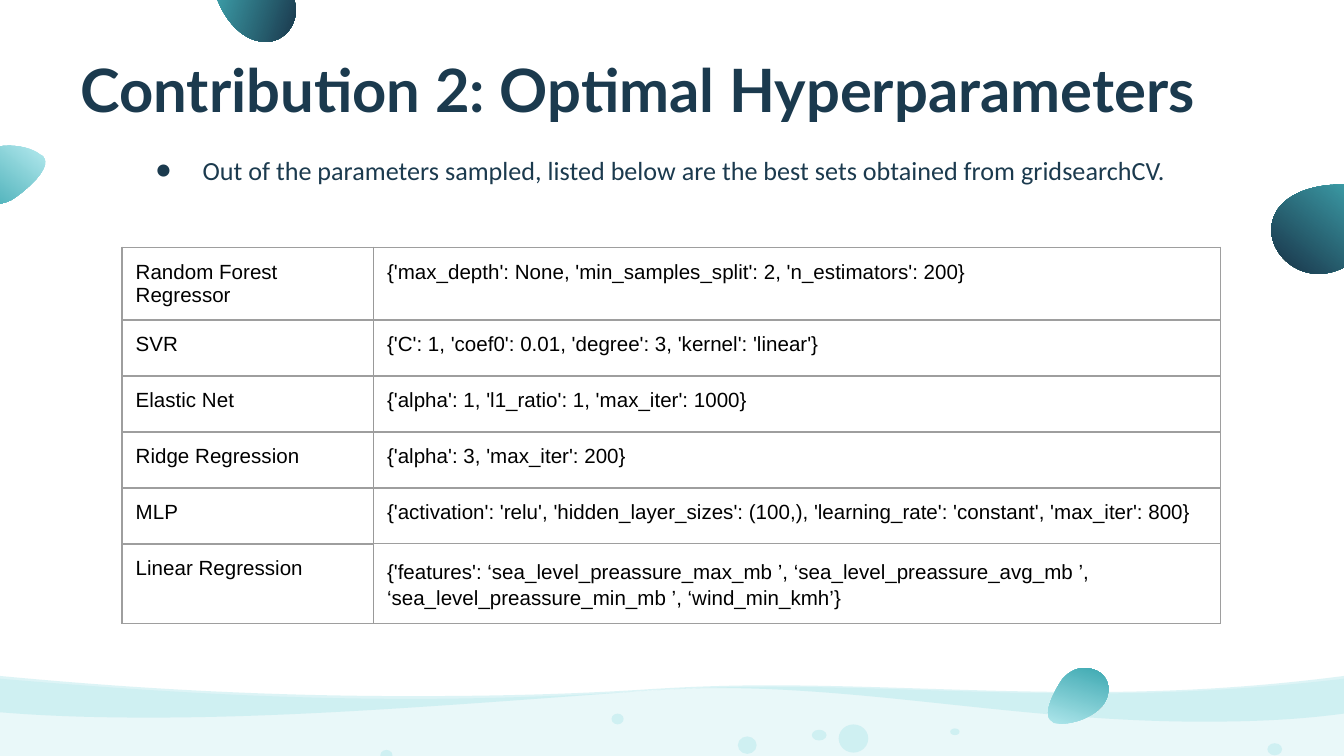
from lxml.etree import SubElement
from pptx import Presentation
from pptx.dml.color import RGBColor
from pptx.enum.shapes import MSO_SHAPE
from pptx.enum.text import MSO_AUTO_SIZE
from pptx.oxml.ns import qn
from pptx.util import Pt

PX = 9144
NAVY = RGBColor(0x1B, 0x3A, 0x4E)
TEAL = RGBColor(0x40, 0xAA, 0xB3)
AQUA = RGBColor(0xAA, 0xE4, 0xE9)
WHITE = RGBColor(0xFF, 0xFF, 0xFF)
BLACK = RGBColor(0, 0, 0)
GREY = RGBColor(0x9E, 0x9E, 0x9E)
MID = RGBColor(0x99, 0x99, 0x99)

deck = Presentation()
deck.slide_width = 1000 * PX
deck.slide_height = 1000 * PX * 9 // 16
slide = deck.slides.add_slide(deck.slide_layouts[6])
shapes = slide.shapes


def trace(start, steps):
    ends = [step[-2:] for step in steps]
    pen = shapes.build_freeform(*start, scale=PX)
    pen.add_line_segments(ends, close=True)
    shape = pen.convert_to_shape()
    left = min(x for x, y in [start, *ends])
    top = min(y for x, y in [start, *ends])
    sides = shape._element.findall(".//" + qn("a:lnTo"))
    for side, step in zip(sides, steps):
        if len(step) == 6:
            curve = side.makeelement(qn("a:cubicBezTo"))
            for x, y in zip(step[::2], step[1::2]):
                SubElement(curve, qn("a:pt"), x=str(x - left), y=str(y - top))
            side.getparent().replace(side, curve)
    shape.shadow.inherit = False
    shape.line.fill.background()
    return shape


def tint(shape, alpha):
    shape.fill.solid()
    shape.fill.fore_color.rgb = AQUA
    color = shape.fill._xPr.find(".//" + qn("a:srgbClr"))
    SubElement(color, qn("a:alpha"), val=str(alpha * 1000))


waves = [
    (26, (0, 505), [
        (0, 637), (1000, 637), (1000, 505),
        (931, 513, 869, 516, 809, 516), (727, 516, 650, 511, 573, 511),
        (543, 511, 513, 512, 483, 514), (420, 518, 362, 520, 306, 520),
        (194, 520, 95, 513, 0, 505)]),
    (40, (0, 503), [
        (0, 530), (36, 533, 73, 534, 111, 534),
        (223, 534, 343, 524, 482, 514), (500, 513, 517, 512, 534, 512),
        (652, 512, 764, 537, 895, 537), (928, 537, 963, 536, 1000, 531),
        (1000, 503), (931, 512, 869, 515, 809, 515),
        (726, 515, 650, 510, 572, 510), (542, 510, 512, 511, 481, 513),
        (419, 517, 361, 518, 306, 518), (194, 518, 95, 512, 0, 503)]),
]
for alpha, start, steps in waves:
    tint(trace(start, steps), alpha)

bubbles = [
    (624, 539, 22, 21), (549, 548, 14, 13), (283, 558, 9, 8),
    (455, 531, 9, 8), (604, 543, 11, 8), (707, 542, 7, 5),
    (943, 553, 11, 9),
]
for box in bubbles:
    bubble = shapes.add_shape(MSO_SHAPE.OVAL, *[n * PX for n in box])
    bubble.shadow.inherit = False
    bubble.line.fill.background()
    tint(bubble, 40)

drops = [
    (TEAL, NAVY, 342, (219, 15), [
        (222, 6, 220, -5, 208, -14), (204, -18, 166, -42, 160, -28),
        (159, -27, 159, -27, 159, -26), (154, -11, 167, 23, 190, 30),
        (204, 34, 215, 27, 219, 15)]),
    (TEAL, NAVY, 231, (959, 196), [
        (969, 204, 984, 207, 1000, 199), (1006, 196, 1051, 164, 1036, 149),
        (1036, 149, 1035, 148, 1034, 147), (1018, 134, 970, 132, 952, 154),
        (941, 168, 946, 186, 959, 196)]),
    (AQUA, TEAL, 73, (813, 498), [
        (806, 496, 798, 497, 791, 505), (789, 507, 773, 532, 783, 537),
        (783, 537, 784, 537, 784, 538), (795, 541, 820, 533, 824, 518),
        (827, 508, 821, 500, 813, 498)]),
    (AQUA, TEAL, 231, (-19, 147), [
        (-12, 152, -2, 154, 8, 149), (12, 147, 41, 126, 32, 116),
        (31, 116, 31, 115, 30, 115), (19, 106, -11, 105, -23, 120),
        (-30, 129, -27, 140, -19, 147)]),
]
for first, last, angle, start, steps in drops:
    fill = trace(start, steps).fill
    fill.gradient()
    fill.gradient_angle = angle
    for stop, color, place in zip(fill.gradient_stops, (first, last), (0, 1)):
        stop.color.rgb = color
        stop.position = place

rows = [
    ("Random Forest Regressor",
     "{'max_depth': None, 'min_samples_split': 2, 'n_estimators': 200}"),
    ("SVR", "{'C': 1, 'coef0': 0.01, 'degree': 3, 'kernel': 'linear'}"),
    ("Elastic Net", "{'alpha': 1, 'l1_ratio': 1, 'max_iter': 1000}"),
    ("Ridge Regression", "{'alpha': 3, 'max_iter': 200}"),
    ("MLP", "{'activation': 'relu', 'hidden_layer_sizes': (100,), "
            "'learning_rate': 'constant', 'max_iter': 800}"),
    ("Linear Regression",
     "{'features': ‘sea_level_preassure_max_mb ’, "
     "‘sea_level_preassure_avg_mb ’, ‘sea_level_preassure_min_mb ’, "
     "‘wind_min_kmh’}"),
]
edges = [
    {"L": (GREY, 1), "R": (MID, 1), "T": (GREY, 1), "B": (GREY, 1)},
    {"L": (MID, 1), "R": (GREY, 0.75), "T": (GREY, 0.75), "B": (GREY, 0.75)},
]
table = shapes.add_table(len(rows), 2, 91 * PX, 184 * PX, 817 * PX,
                         Pt(30) * len(rows)).table
table.first_row = False
table.horz_banding = False
for column, width in zip(table.columns, (187, 630)):
    column.width = width * PX
for r, row in enumerate(rows):
    for c, text in enumerate(row):
        cell = table.cell(r, c)
        cell.text = text
        cell.margin_left = cell.margin_right = 10 * PX
        cell.margin_top = cell.margin_bottom = 10 * PX
        font = cell.text_frame.paragraphs[0].font
        font.name = "Arial"
        font.size = Pt(11)
        font.color.rgb = BLACK
        props = cell._tc.get_or_add_tcPr()
        for side, (color, width) in edges[c].items():
            line = SubElement(props, qn("a:ln" + side), w=str(Pt(width)))
            solid = SubElement(line, qn("a:solidFill"))
            SubElement(solid, qn("a:srgbClr"), val=str(color))
        cell.fill.solid()
        cell.fill.fore_color.rgb = WHITE
table.cell(len(rows) - 1, 1).text_frame.paragraphs[0].line_spacing = 1.15

labels = [
    ("Contribution 2: Optimal Hyperparameters",
     (50, 29, 964, 74), "Lato", 32, True),
    ("Out of the parameters sampled, listed below are the best sets "
     "obtained from gridsearchCV.", (91, 105, 810, 74), "Calibri", 14, False),
]
for text, box, face, size, title in labels:
    frame = shapes.add_textbox(*[n * PX for n in box]).text_frame
    frame.word_wrap = True
    frame.margin_left = frame.margin_right = 10 * PX
    frame.margin_top = frame.margin_bottom = 10 * PX
    para = frame.paragraphs[0]
    para.text = text
    if title:
        frame.auto_size = MSO_AUTO_SIZE.SHAPE_TO_FIT_TEXT
    else:
        props = para._p.get_or_add_pPr()
        props.set("marL", str(50 * PX))
        props.set("indent", str(-35 * PX))
        color = SubElement(props, qn("a:buClr"))
        SubElement(color, qn("a:srgbClr"), val=str(NAVY))
        SubElement(props, qn("a:buSzPts"), val=str(size * 100))
        SubElement(props, qn("a:buFont"), typeface=face)
        SubElement(props, qn("a:buChar"), char="●")
    para.font.name = face
    para.font.size = Pt(size)
    para.font.bold = title
    para.font.color.rgb = NAVY

deck.save("out.pptx")
